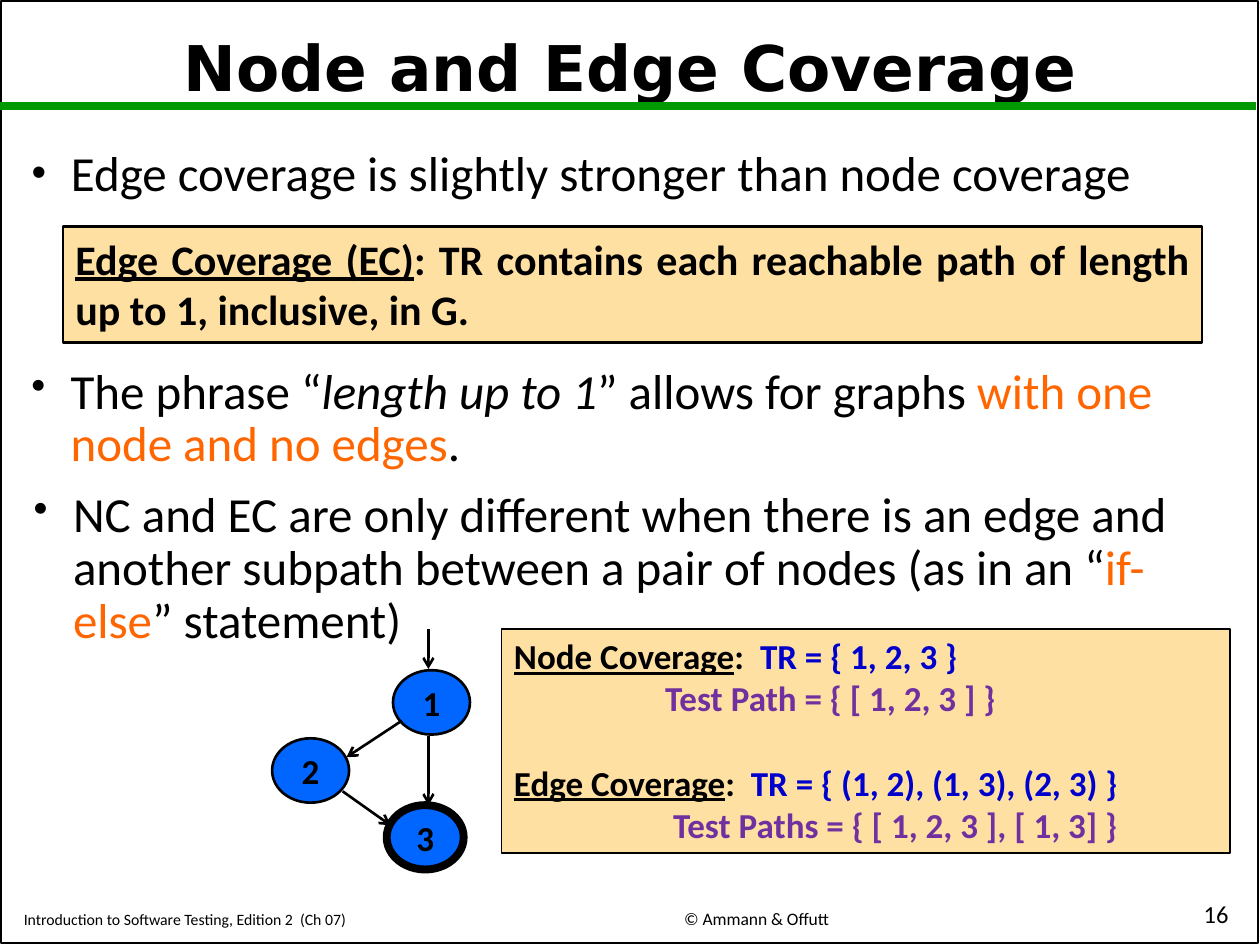
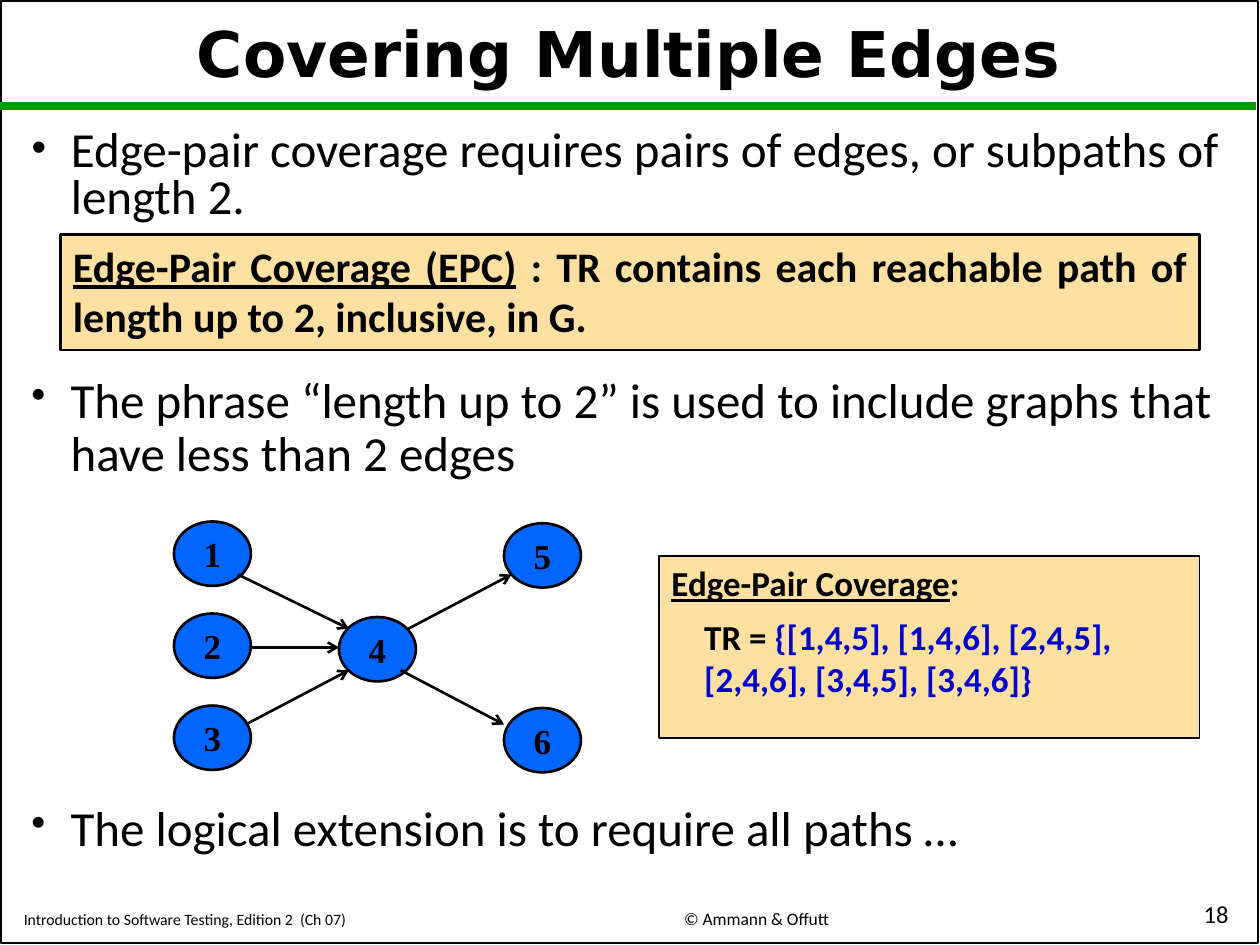
from lxml.etree import SubElement
from pptx import Presentation
from pptx.dml.color import RGBColor
from pptx.enum.shapes import MSO_CONNECTOR, MSO_SHAPE
from pptx.enum.text import MSO_ANCHOR, MSO_AUTO_SIZE, PP_ALIGN
from pptx.oxml.ns import qn
from pptx.util import Pt

BLACK, GREEN, BLUE = "000000", "009900", "0066FF"
CREAM, ORANGE, NAVY, PURPLE = "FFE0A3", "FF6600", "0000CC", "7030A0"
BODY_FONT, TITLE_FONT, SERIF_FONT = "Calibri", "DejaVu Sans", "Times New Roman"
NODE_WIDTH, NODE_HEIGHT = 44, 36.8
BULLET_LEFT, BULLET_WIDTH, BULLET_INDENT = 10.8, 698.4, 22.5


def color(hex_string):
    return RGBColor.from_string(hex_string)


def place(shape, left, top, width, height):
    shape.left, shape.top = Pt(left), Pt(top)
    shape.width, shape.height = Pt(width), Pt(height)


def set_frame(shape, anchor=MSO_ANCHOR.TOP, wrap=True):
    text_frame = shape.text_frame
    text_frame.auto_size = MSO_AUTO_SIZE.NONE
    text_frame.word_wrap = wrap
    text_frame.vertical_anchor = anchor
    return text_frame


def write(paragraph, pieces, size, font=BODY_FONT, bold=False, align=PP_ALIGN.LEFT):
    """Fill a paragraph with pieces: plain strings or (text, format) pairs."""
    paragraph.alignment = align
    paragraph.space_before = Pt(0)
    for piece in pieces:
        text, style = (piece, {}) if isinstance(piece, str) else piece
        run = paragraph.add_run()
        run.text = text
        run.font.name = font
        run.font.size = Pt(size)
        run.font.bold = bold
        run.font.italic = style.get("italic", False)
        run.font.underline = style.get("underline", False)
        run.font.color.rgb = color(style.get("color", BLACK))


def underlined(text):
    return text, {"underline": True}


def colored(text, hex_string):
    return text, {"color": hex_string}


def draw_line(slide, start, end, hex_string=BLACK, width=1.5, arrow=False):
    points = [Pt(value) for value in (*start, *end)]
    connector = slide.shapes.add_connector(MSO_CONNECTOR.STRAIGHT, *points)
    connector.line.color.rgb = color(hex_string)
    connector.line.width = Pt(width)
    if arrow:
        SubElement(connector.line._get_or_add_ln(), qn("a:tailEnd"), type="arrow")
    SubElement(connector._element.spPr, qn("a:effectLst"))


def draw_shape(slide, kind, box, fill=None, line_width=1.0):
    shape = slide.shapes.add_shape(kind, *[Pt(value) for value in box])
    shape.shadow.inherit = False
    if fill:
        shape.fill.solid()
        shape.fill.fore_color.rgb = color(fill)
    else:
        shape.fill.background()
    shape.line.color.rgb = color(BLACK)
    shape.line.width = Pt(line_width)
    return shape


def add_text_box(slide, box):
    return slide.shapes.add_textbox(*[Pt(value) for value in box])


def add_footer(slide, box, text, size, align):
    text_frame = set_frame(add_text_box(slide, box), MSO_ANCHOR.BOTTOM)
    write(text_frame.paragraphs[0], [text], size, align=align)


def add_course_slide(presentation, title, title_box, number):
    """Add a slide with the frame, green rule, footers and title."""
    slide = presentation.slides.add_slide(presentation.slide_layouts[1])
    draw_shape(slide, MSO_SHAPE.RECTANGLE, (0.7, 0.7, 718, 538))
    draw_line(slide, (0, 60.5), (718, 60.5), GREEN, 4.5)
    add_footer(slide, (6.5, 512.6, 296.6, 21.6),
               "Introduction to Software Testing, Edition 2  (Ch 07)", 9, PP_ALIGN.LEFT)
    add_footer(slide, (318.2, 512, 228.2, 22.3), "© Ammann & Offutt", 10, PP_ALIGN.CENTER)
    add_footer(slide, (568, 511.2, 141.1, 23), str(number), 14, PP_ALIGN.RIGHT)

    place(slide.shapes.title, *title_box)
    paragraph = set_frame(slide.shapes.title, MSO_ANCHOR.MIDDLE).paragraphs[0]
    paragraph.line_spacing = 0.9
    write(paragraph, [title], 36, TITLE_FONT, True, PP_ALIGN.CENTER)
    return slide


def format_bullet(shape, pieces, line_spacing=0.9):
    paragraph = set_frame(shape).paragraphs[0]
    write(paragraph, pieces, 28)
    paragraph.line_spacing = line_spacing
    properties = paragraph._p.get_or_add_pPr()
    properties.set("marL", str(Pt(BULLET_INDENT)))
    properties.set("indent", str(-Pt(BULLET_INDENT)))
    SubElement(properties, qn("a:buSzPct"), val="85000")
    SubElement(properties, qn("a:buChar"), char="•")


def fill_body(slide, top, height, pieces, line_spacing=0.9):
    body = slide.placeholders[1]
    place(body, BULLET_LEFT, top, BULLET_WIDTH, height)
    format_bullet(body, pieces, line_spacing)


def add_bullet(slide, top, height, pieces, left=BULLET_LEFT):
    format_bullet(add_text_box(slide, (left, top, BULLET_WIDTH, height)), pieces)


def add_definition(slide, left, top, pieces):
    box = draw_shape(slide, MSO_SHAPE.RECTANGLE, (left, top, 650.9, 66.2), CREAM, 1.5)
    write(set_frame(box).paragraphs[0], pieces, 24, bold=True, align=PP_ALIGN.JUSTIFY)


def add_requirements(slide, box, lines):
    """Add a box of lines, each given as (pieces, indent, space before)."""
    text_frame = set_frame(draw_shape(slide, MSO_SHAPE.RECTANGLE, box, CREAM))
    for index, (pieces, indent, space_before) in enumerate(lines):
        paragraph = text_frame.add_paragraph() if index else text_frame.paragraphs[0]
        write(paragraph, pieces, 20, bold=True)
        paragraph.space_before = Pt(space_before)
        paragraph._p.get_or_add_pPr().set("marL", str(Pt(indent)))


def add_node(slide, label, left, top, font, line_width=1.5):
    node = draw_shape(slide, MSO_SHAPE.OVAL, (left, top, NODE_WIDTH, NODE_HEIGHT),
                      BLUE, line_width)
    text_frame = set_frame(node, MSO_ANCHOR.MIDDLE, wrap=False)
    write(text_frame.paragraphs[0], [label], 20, font, True, PP_ALIGN.CENTER)


def add_edges(slide, edges):
    for start, end in edges:
        draw_line(slide, start, end, arrow=True)


def build_node_and_edge_slide(presentation):
    slide = add_course_slide(presentation, "Node and Edge Coverage", (54, 8, 612, 65), 16)
    fill_body(slide, 81.4, 37.4, ["Edge coverage is slightly stronger than node coverage"])
    add_definition(slide, 36, 129.6, [
        underlined("Edge Coverage (EC)"),
        ": TR contains each reachable path of length up to 1, inclusive, in G."])
    add_bullet(slide, 206, 59.8, [
        "The phrase “", ("length up to 1", {"italic": True}), "” allows for graphs ",
        colored("with one node and no edges", ORANGE), "."])
    add_bullet(slide, 276.5, 92.9, [
        "NC and EC are only different when there is an edge and another subpath "
        "between a pair of nodes (as in an “",
        colored("if-else", ORANGE), "” statement)"], left=12.2)
    add_requirements(slide, (286.6, 359.3, 416.2, 128.2), [
        ([underlined("Node Coverage"), ":  ", colored("TR = { 1, 2, 3 }", NAVY)], 0, 0),
        ([colored("Test Path = { [ 1, 2, 3 ] }", PURPLE)], 86.4, 0),
        ([underlined("Edge Coverage"), ":  ",
          colored("TR = { (1, 2), (1, 3), (2, 3) }", NAVY)], 0, 24),
        ([colored("Test Paths = { [ 1, 2, 3 ], [ 1, 3] }", PURPLE)], 90.9, 0)])
    add_node(slide, "1", 224.6, 383, BODY_FONT)
    add_node(slide, "2", 155.5, 421.9, BODY_FONT)
    add_node(slide, "3", 221, 460.1, BODY_FONT, line_width=4.5)
    add_edges(slide, [
        ((244.8, 359.3), (244.8, 382.3)),
        ((229.7, 411.8), (198, 432.7)),
        ((195.8, 452.2), (223.2, 471.6)),
        ((244.8, 420.5), (244.8, 460.1))])


def build_multiple_edges_slide(presentation):
    slide = add_course_slide(presentation, "Covering Multiple Edges", (6.5, 8, 705.6, 49.7), 18)
    fill_body(slide, 70.6, 52.6, [
        "Edge-pair coverage requires pairs of edges, or subpaths of length 2."], 0.8)
    add_definition(slide, 34.6, 133.9, [
        underlined("Edge-Pair Coverage (EPC)"),
        " : TR contains each reachable path of length up to 2, inclusive, in G."])
    add_bullet(slide, 211.7, 59.8, [
        "The phrase “length up to 2” is used to include graphs that have less than 2 edges"])
    add_bullet(slide, 455.8, 34.6, ["The logical extension is to require all paths …"])

    left, middle, right = (99.4 + 94.3 * column for column in range(3))
    for row, label in enumerate("123"):
        add_node(slide, label, left, 298 + 52.6 * row, SERIF_FONT)
    add_node(slide, "4", middle, 352.6, SERIF_FONT)
    for row, label in enumerate("56"):
        add_node(slide, label, right, 299 + 105.6 * row, SERIF_FONT)
    add_edges(slide, [
        ((136, 328.3), (199.4, 359.3)),
        ((143.3, 370), (193.7, 370)),
        ((140.4, 414), (199.4, 383)),
        ((233.3, 359.3), (292.3, 328.3)),
        ((229, 383), (288, 414))])
    add_requirements(slide, (376.6, 317.5, 308.9, 104.4), [
        ([underlined("Edge-Pair Coverage"), ":"], 0, 0),
        (["TR = ", colored("{[1,4,5], [1,4,6], [2,4,5], [2,4,6], [3,4,5], [3,4,6]}", NAVY)],
         18.7, 6.6)])


def main():
    presentation = Presentation()
    presentation.slide_width, presentation.slide_height = Pt(720), Pt(540)
    build_node_and_edge_slide(presentation)
    build_multiple_edges_slide(presentation)
    presentation.save("out.pptx")


if __name__ == "__main__":
    main()
